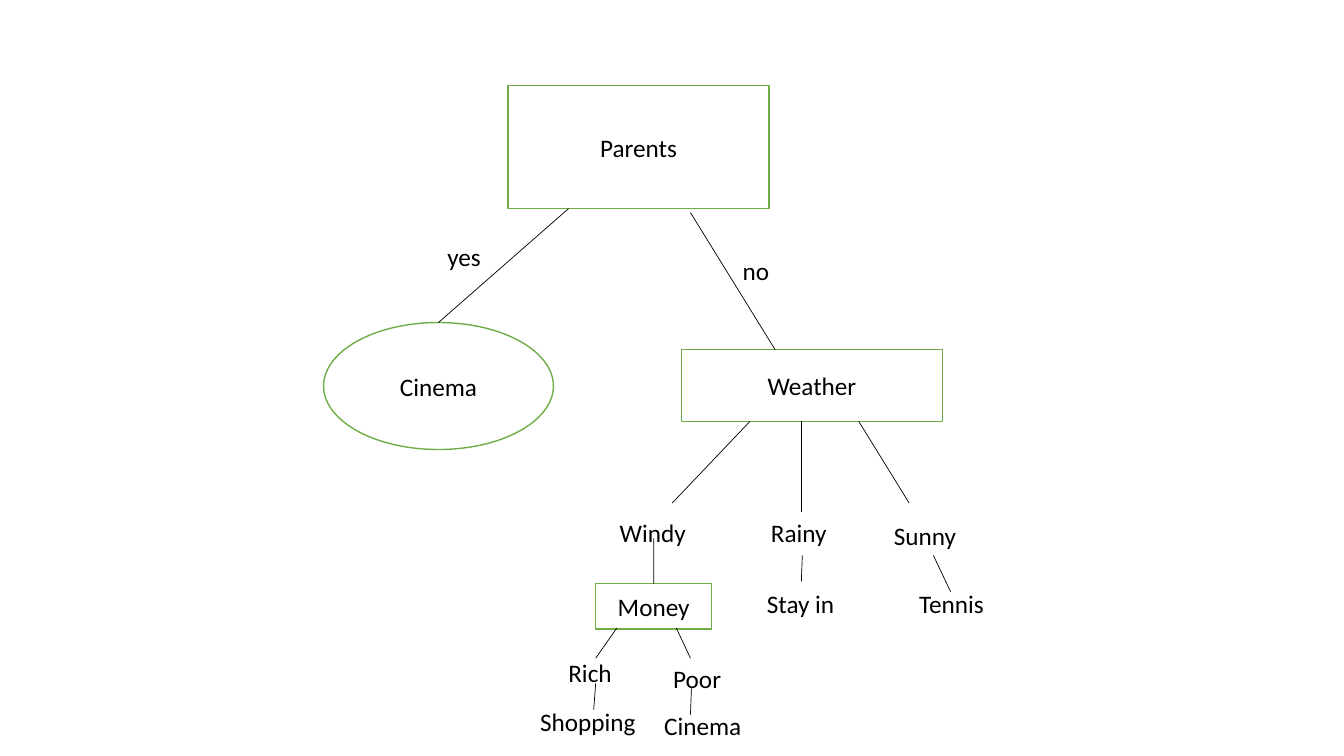
"""Build a slide with a decision tree for choosing a weekend activity."""
from pptx import Presentation, util as u
from pptx.dml import color
from pptx.enum import shapes, text
from pptx.oxml import ns
from lxml import etree

BLACK, WHITE, GREEN = "000000", "FFFFFF", "70AD47"
FONT, SIZE = "Calibri", 18
LABEL_WIDTH, LABEL_HEIGHT = 72, 29
RECTANGLE, OVAL = shapes.MSO_SHAPE.RECTANGLE, shapes.MSO_SHAPE.OVAL

NODES = {
    "Parents": (RECTANGLE, 362.9, 61.2, 186.5, 87.8),
    "Cinema": (OVAL, 231.1, 230.4, 164.2, 90.7),
    "Weather": (RECTANGLE, 486.7, 249.8, 186.5, 51.1),
    "Money": (RECTANGLE, 425.5, 416.9, 82.8, 32.4),
}
LABELS = [
    ("yes", 312.5, 168.5),
    ("no", 523.4, 178.6),
    ("Windy", 435.6, 365.8),
    ("Rainy", 543.6, 365.8),
    ("Sunny", 631.4, 367.9),
    ("Stay in", 540.7, 416.9),
    ("Tennis", 649.4, 416.9),
    ("Rich", 398.9, 465.8),
    ("Poor", 473.8, 470.2),
    ("Shopping", 378.7, 501.1),
    ("Cinema", 467.3, 504),
]
WIDE_LABELS = {"Shopping": 104.4, "Cinema": 104.4}
JOINED_BRANCHES = [
    ("Cinema", 406.1, 149),
    ("Money", 467, 384.5),
]
BRANCHES = [
    (553.7, 249.8, 493.2, 151.9),
    (480.2, 359.3, 535.7, 301),
    (572.4, 365.8, 572.4, 301),
    (649.4, 359.3, 613.4, 301),
    (679, 422.6, 666.7, 396.7),
    (572.4, 415.4, 573.1, 396.7),
    (425.5, 470.2, 440.6, 448.6),
    (493.2, 470.2, 483.1, 448.6),
    (424.1, 506.9, 425.5, 488.2),
    (493.2, 510.5, 493.9, 491.8),
]


def rgb(value):
    return color.RGBColor.from_string(value)


def points(*lengths):
    return [u.Pt(length) for length in lengths]


def write(box, words, align=text.PP_ALIGN.LEFT, anchor=text.MSO_ANCHOR.TOP):
    frame = box.text_frame
    frame.word_wrap = True
    frame.vertical_anchor = anchor
    para = frame.paragraphs[0]
    para.alignment = align
    span = para.add_run()
    span.text = words
    span.font.name = FONT
    span.font.size = u.Pt(SIZE)
    span.font.color.rgb = rgb(BLACK)


def add_node(page, words, kind, *place):
    box = page.shapes.add_shape(kind, *points(*place))
    box.shadow.inherit = False
    box.fill.solid()
    box.fill.fore_color.rgb = rgb(WHITE)
    box.line.color.rgb = rgb(GREEN)
    box.line.width = u.Pt(1)
    write(box, words, align=text.PP_ALIGN.CENTER, anchor=text.MSO_ANCHOR.MIDDLE)
    return box


def add_label(page, words, left, top):
    width = WIDE_LABELS.get(words, LABEL_WIDTH)
    box = page.shapes.add_textbox(*points(left, top, width, LABEL_HEIGHT))
    write(box, words)
    box.text_frame.auto_size = text.MSO_AUTO_SIZE.SHAPE_TO_FIT_TEXT


def add_branch(page, *ends):
    branch = page.shapes.add_connector(shapes.MSO_CONNECTOR.STRAIGHT, *points(*ends))
    branch.line.color.rgb = rgb(BLACK)
    branch.line.width = u.Pt(0.5)
    etree.SubElement(branch._element.spPr, ns.qn("a:effectLst"))
    return branch


def main():
    deck = Presentation()
    deck.slide_width, deck.slide_height = points(960, 540)
    page = deck.slides.add_slide(deck.slide_layouts[6])
    nodes = {words: add_node(page, words, *node) for words, node in NODES.items()}
    for child, x, y in JOINED_BRANCHES:
        add_branch(page, x, y, x, y).begin_connect(nodes[child], 0)
    for ends in BRANCHES:
        add_branch(page, *ends)
    for label in LABELS:
        add_label(page, *label)
    deck.save("out.pptx")


if __name__ == "__main__":
    main()
